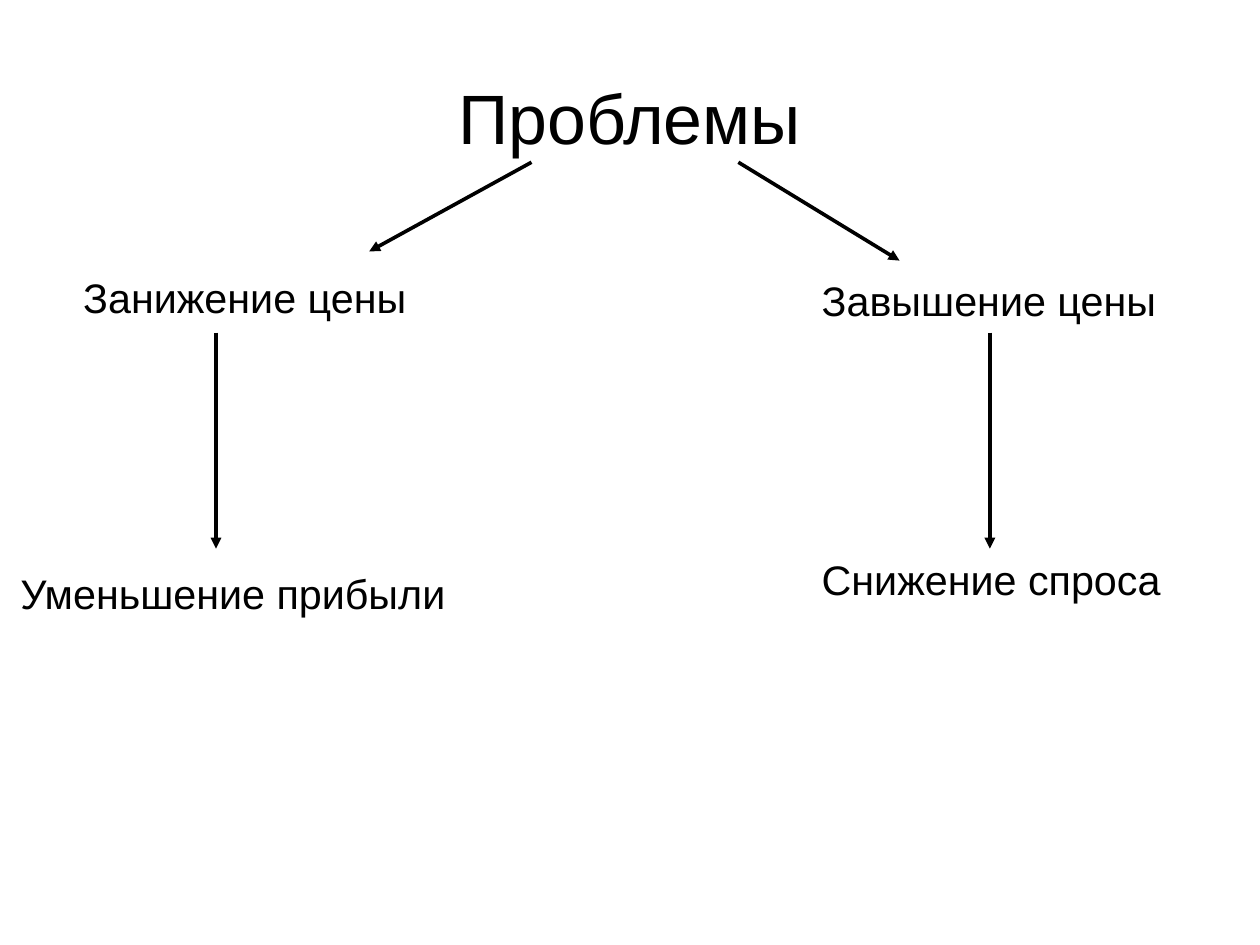
"""Build a slide showing the problems caused by setting a price too low or too high."""
from lxml.etree import SubElement
from pptx import Presentation
from pptx.dml.color import RGBColor
from pptx.enum.shapes import MSO_CONNECTOR
from pptx.enum.text import MSO_ANCHOR, PP_ALIGN
from pptx.oxml.ns import qn
from pptx.util import Inches, Pt

BLACK = RGBColor(0, 0, 0)
FONT = "Arial"
CM_PER_INCH = 2.54


def write(frame, text, size, align):
    frame.word_wrap = True
    frame.text = text
    paragraph = frame.paragraphs[0]
    paragraph.alignment = align
    font = paragraph.runs[0].font
    font.name = FONT
    font.size = Pt(size)
    font.color.rgb = BLACK


presentation = Presentation()
presentation.slide_width = round(Inches(28) / CM_PER_INCH)
presentation.slide_height = round(Inches(21) / CM_PER_INCH)
slide = presentation.slides.add_slide(presentation.slide_layouts[5])

heading = slide.shapes.title
heading.left, heading.top = Inches(0.55), Inches(0.33)
heading.width, heading.height = Inches(9.92), Inches(1.38)
heading_frame = heading.text_frame
heading_frame.margin_left = heading_frame.margin_right = 0
heading_frame.margin_top = heading_frame.margin_bottom = 0
heading_frame.vertical_anchor = MSO_ANCHOR.MIDDLE
write(heading_frame, "Проблемы", 44, PP_ALIGN.CENTER)

statements = [
    ("Занижение цены", 0.63, 2.33, 3.54, 0.5),
    ("Завышение цены", 7.09, 2.36, 3.78, 0.5),
    ("Уменьшение прибыли", 0.08, 4.92, 3.94, 0.91),
    ("Снижение спроса", 7.09, 4.8, 3.39, 0.5),
]
for text, left, top, width, height in statements:
    statement = slide.shapes.add_textbox(
        Inches(left), Inches(top), Inches(width), Inches(height)
    )
    write(statement.text_frame, text, 26, PP_ALIGN.LEFT)

links = [
    (4.65, 1.42, 3.23, 2.2),
    (6.46, 1.42, 7.87, 2.28),
    (1.89, 2.91, 1.89, 4.8),
    (8.66, 2.91, 8.66, 4.8),
]
for ends in links:
    link = slide.shapes.add_connector(
        MSO_CONNECTOR.STRAIGHT, *[Inches(value) for value in ends]
    )
    link.line.color.rgb = BLACK
    link.line.width = Pt(2.3)
    properties = link.element.spPr
    SubElement(properties.find(qn("a:ln")), qn("a:tailEnd"), type="triangle")
    SubElement(properties, qn("a:effectLst"))

presentation.save("out.pptx")
